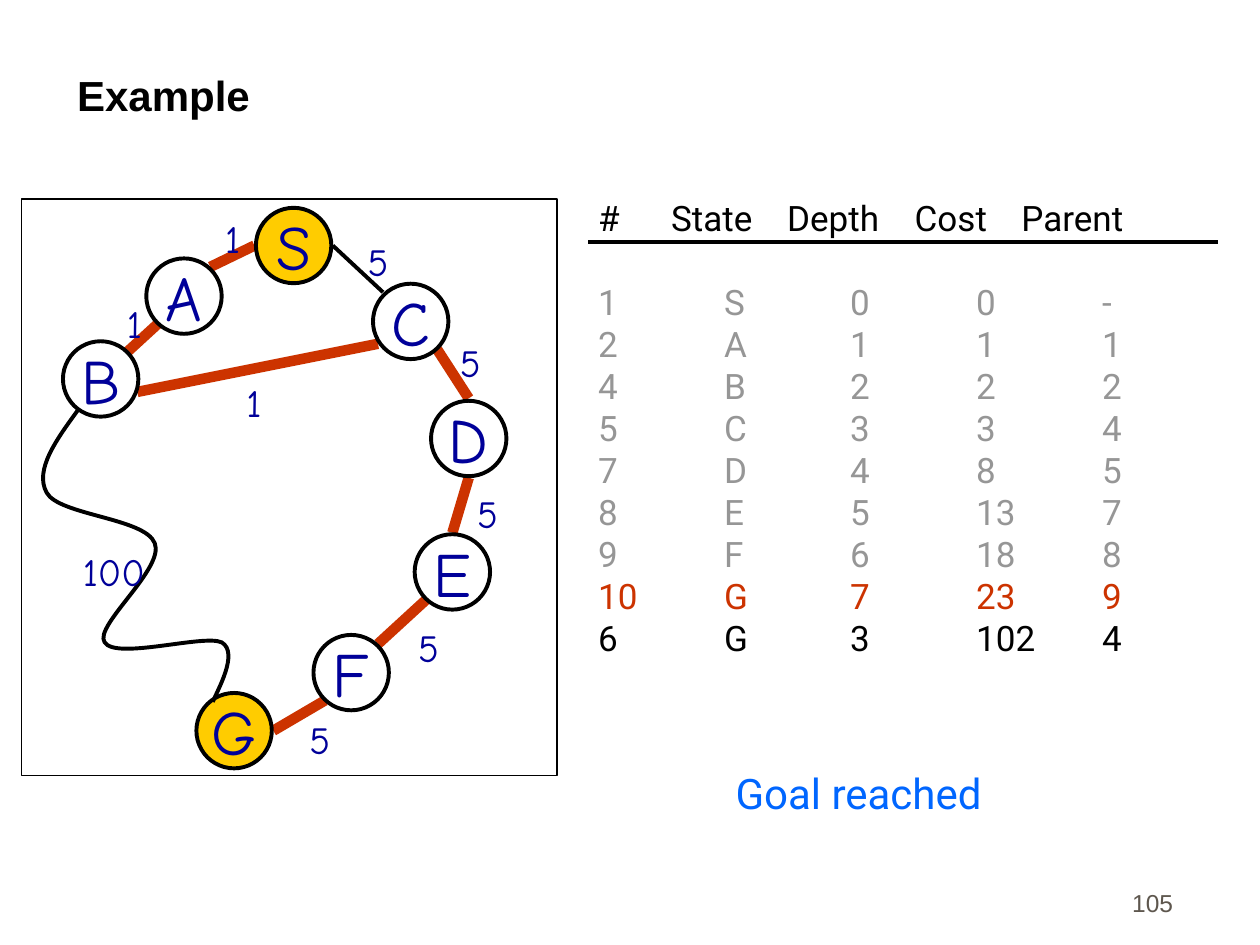
"""Build the slide that shows a graph search example reaching its goal."""
import pptx
import pptx.dml.color
import pptx.enum.shapes
import pptx.enum.text
import pptx.oxml
import pptx.oxml.ns
import pptx.util

Cm = pptx.util.Cm
Pt = pptx.util.Pt
ANCHOR = pptx.enum.text.MSO_ANCHOR
ALIGN = pptx.enum.text.PP_ALIGN
SHAPE = pptx.enum.shapes.MSO_SHAPE

BLACK, WHITE, GOLD, RED = "000000", "FFFFFF", "FFCC00", "CC3300"
NAVY, GREY, BLUE, BROWN = "000099", "969696", "0066FF", "5E574E"
DIAMETER = 1.52

NODES = {
    "S": (5.16, 4.19, GOLD), "A": (2.95, 5.21, WHITE),
    "B": (1.27, 6.88, WHITE), "C": (7.52, 5.72, WHITE),
    "D": (8.69, 8.08, WHITE), "E": (8.36, 10.77, WHITE),
    "F": (6.32, 12.8, WHITE), "G": (3.96, 13.97, GOLD),
}
EDGES = [
    ((5.13, 4.95), (4.24, 5.38), RED, 6),
    ((3.18, 6.53), (2.57, 7.09), RED, 6),
    ((2.77, 7.9), (7.62, 6.93), RED, 6),
    ((6.71, 4.95), (7.72, 5.89), BLACK, 2.25),
    ((8.81, 7.04), (9.45, 8.03), RED, 6),
    ((9.45, 9.63), (9.12, 10.74), RED, 6),
    ((8.59, 12.09), (7.62, 12.98), RED, 6),
    ((6.55, 14.12), (5.51, 14.73), RED, 6),
]
COSTS = [
    ("1", 4.29, 4.22, 0.81), ("1", 2.31, 5.92, 0.81), ("1", 4.72, 7.52, 0.81),
    ("5", 7.16, 4.67, 0.91), ("5", 9.02, 6.71, 0.91), ("5", 9.37, 9.75, 0.91),
    ("5", 8.18, 12.45, 0.91), ("5", 5.99, 14.3, 0.91), ("100", 1.42, 10.92, 1.75),
]
DETOUR = [
    (1.6, 8.23),
    (1.14, 8.86), (0.69, 9.47), (0.94, 9.93),
    (1.19, 10.39), (2.92, 10.44), (3.12, 10.95),
    (3.33, 11.46), (1.88, 12.62), (2.11, 12.95),
    (2.34, 13.31), (4.11, 12.78), (4.47, 12.95),
    (4.83, 13.16), (4.37, 13.94), (4.29, 14.15),
]
HEADER = ["#", "State", "Depth", "Cost", "Parent"]
HEADER_STOPS = [1.47, 3.81, 6.38, 8.53]
ROWS = [
    (GREY, "1", "S", "0", "0", "-"),
    (GREY, "2", "A", "1", "1", "1"),
    (GREY, "4", "B", "2", "2", "2"),
    (GREY, "5", "C", "3", "3", "4"),
    (GREY, "7", "D", "4", "8", "5"),
    (GREY, "8", "E", "5", "13", "7"),
    (GREY, "9", "F", "6", "18", "8"),
    (RED, "10", "G", "7", "23", "9"),
    (BLACK, "6", "G", "3", "102", "4"),
]
ROW_STOPS = [2.54 * number for number in range(1, 5)]


def paint(color_format, value):
    color_format.rgb = pptx.dml.color.RGBColor.from_string(value)


def write(frame, text, font="Arial", size=20, color=BLACK, bold=False,
          align=ALIGN.LEFT, anchor=ANCHOR.TOP, wrap=True, after=0, stops=()):
    frame.word_wrap = wrap
    frame.vertical_anchor = anchor
    para = frame.add_paragraph() if frame.text else frame.paragraphs[0]
    para.alignment = align
    para.space_after = Pt(after)
    if stops:
        properties = para._p.get_or_add_pPr()
        tabs = pptx.oxml.parse_xml(f'<a:tabLst {pptx.oxml.ns.nsdecls("a")}/>')
        for stop in stops:
            tab = tabs.makeelement(pptx.oxml.ns.qn("a:tab"), pos=str(Cm(stop)), algn="l")
            tabs.append(tab)
        properties.append(tabs)
    span = para.add_run()
    span.text = text
    span.font.name, span.font.size, span.font.bold = font, Pt(size), bold
    paint(span.font.color, color)


def add_box(page, left, top, width, height):
    return page.shapes.add_textbox(Cm(left), Cm(top), Cm(width), Cm(height)).text_frame


def set_line(shape, color, weight):
    paint(shape.line.color, color)
    shape.line.width = Pt(weight)


def add_shape(page, kind, left, top, width, height, fill, weight):
    shape = page.shapes.add_shape(kind, Cm(left), Cm(top), Cm(width), Cm(height))
    shape.shadow.inherit = False
    shape.fill.solid()
    paint(shape.fill.fore_color, fill)
    set_line(shape, BLACK, weight)
    return shape


def add_line(page, start, end, color, weight):
    line = page.shapes.add_connector(
        pptx.enum.shapes.MSO_CONNECTOR.STRAIGHT, *map(Cm, start + end))
    set_line(line, color, weight)
    line._element.spPr.append(
        pptx.oxml.parse_xml(f'<a:effectLst {pptx.oxml.ns.nsdecls("a")}/>'))


def add_curve(page, points, color, weight):
    start, *others = [(Cm(left), Cm(top)) for left, top in points]
    builder = page.shapes.build_freeform(*start)
    builder.add_line_segments(others, close=False)
    curve = builder.convert_to_shape()
    segments = curve._element.xpath(".//a:lnTo")
    for first in range(0, len(segments), 3):
        group = segments[first:first + 3]
        bend = group[0].makeelement(pptx.oxml.ns.qn("a:cubicBezTo"))
        group[0].addprevious(bend)
        for segment in group:
            bend.append(segment[0])
            segment.getparent().remove(segment)
    curve.shadow.inherit = False
    curve.fill.background()
    set_line(curve, color, weight)


def add_graph(page):
    add_shape(page, SHAPE.RECTANGLE, 0.43, 4.01, 10.8, 11.63, WHITE, 0.75)
    for edge in EDGES:
        add_line(page, *edge)
    for name, (left, top, fill) in NODES.items():
        node = add_shape(page, SHAPE.OVAL, left, top, DIAMETER, DIAMETER, fill, 2.25)
        write(node.text_frame, name, font="Comic Neue", size=36, color=NAVY,
              align=ALIGN.CENTER, anchor=ANCHOR.MIDDLE, wrap=False)
    add_curve(page, DETOUR, BLACK, 2.25)
    for cost, left, top, width in COSTS:
        write(add_box(page, left, top, width, 1.19), cost, font="Comic Neue",
              size=22, color=NAVY, wrap=False)


def add_listing(page):
    listing = add_box(page, 11.81, 3.84, 12.67, 10.41)
    write(listing, "\t".join(HEADER), font="Roboto", after=24, stops=HEADER_STOPS)
    for color, *cells in ROWS:
        write(listing, "\t".join(cells), font="Roboto", color=color, stops=ROW_STOPS)
    add_line(page, (11.86, 4.88), (24.56, 4.88), BLACK, 2.25)


def main():
    deck = pptx.Presentation()
    deck.slide_width, deck.slide_height = Cm(25.4), Cm(19.05)
    page = deck.slides.add_slide(deck.slide_layouts.get_by_name("Title Only"))
    title = page.shapes.title
    title.left, title.top, title.width, title.height = map(Cm, (1.3, 0.64, 22.66, 1.9))
    title.text_frame.auto_size = pptx.enum.text.MSO_AUTO_SIZE.NONE
    write(title.text_frame, "Example", size=24, bold=True, anchor=ANCHOR.BOTTOM)
    add_graph(page)
    add_listing(page)
    write(add_box(page, 14.58, 15.34, 5.77, 1.27), "Goal reached",
          font="Roboto", size=24, color=BLUE, wrap=False)
    write(add_box(page, 18.62, 17.35, 5.28, 1.27), "105", size=14, color=BROWN,
          align=ALIGN.RIGHT, anchor=ANCHOR.BOTTOM)
    deck.save("out.pptx")


if __name__ == "__main__":
    main()
